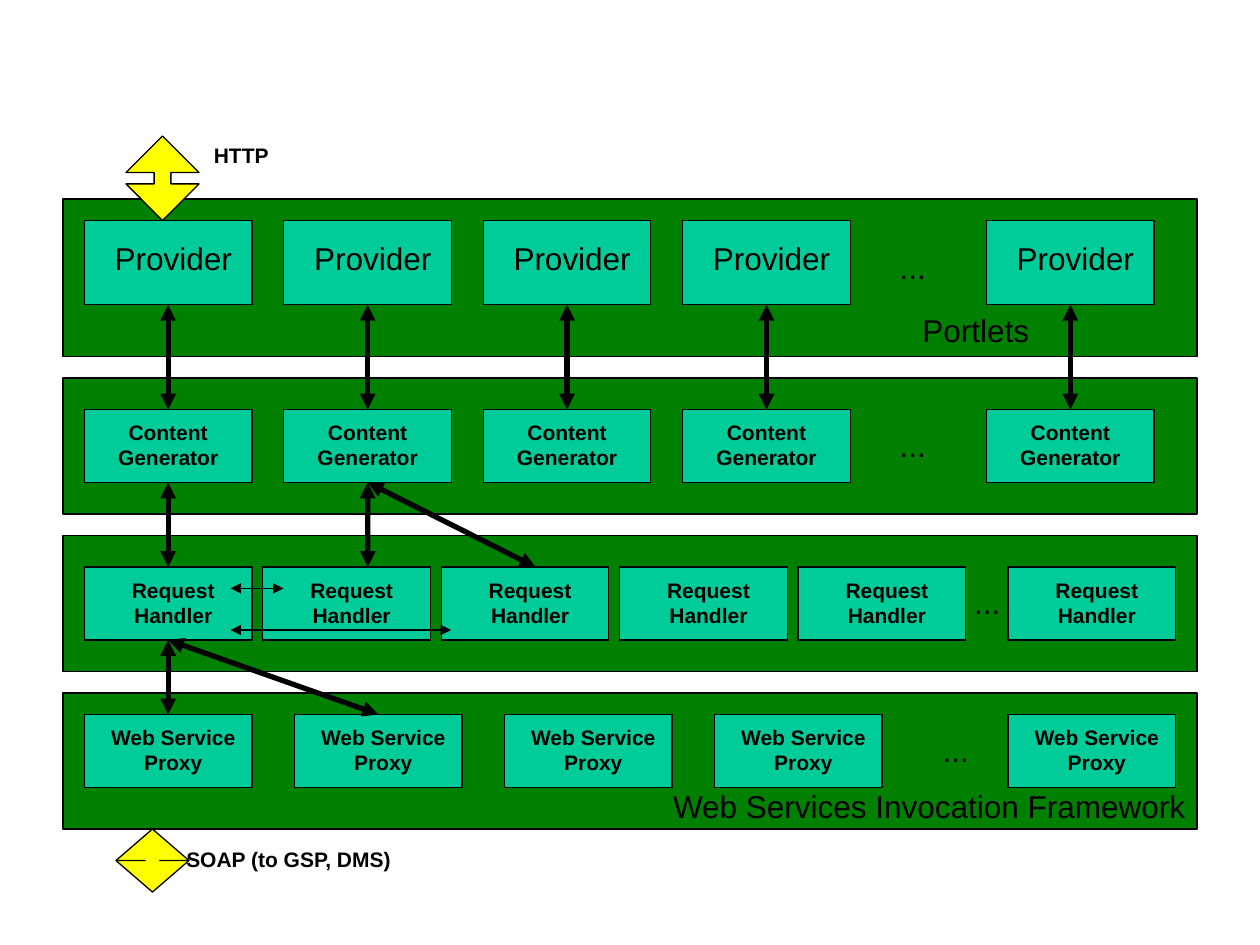
"""Draw the layered portlet and web service architecture slide."""
from dataclasses import dataclass

from lxml import etree
from pptx import Presentation
from pptx.dml.color import RGBColor
from pptx.enum.shapes import MSO_CONNECTOR, MSO_SHAPE
from pptx.enum.text import PP_ALIGN
from pptx.oxml.ns import qn
from pptx.shapes.autoshape import Shape
from pptx.shapes.connector import Connector
from pptx.slide import Slide
from pptx.util import Inches, Pt

RECT = MSO_SHAPE.RECTANGLE
ARROW = MSO_SHAPE.UP_DOWN_ARROW
LINE = MSO_CONNECTOR.STRAIGHT
CENTER = PP_ALIGN.CENTER
BLACK = RGBColor(0, 0, 0)
GREEN = RGBColor(0, 0x80, 0)
TEAL = RGBColor(0, 0xCC, 0x99)
YELLOW = RGBColor(0xFF, 0xFF, 0)
FONT = "Arial"
LEFT, WIDE = 0.67, 1.33
TOP, BOTTOM = 0, 2


@dataclass
class Box:
    left: float
    top: float
    width: float
    height: float


@dataclass
class Label:
    text: str
    box: Box
    size: int = 12
    bold: bool = True
    pad: bool = True


@dataclass
class Row:
    text: str
    band: Box
    top: float
    height: float
    count: int
    step: float
    last: float
    shift: float
    drop: float
    dots: Box
    size: int = 12
    bold: bool = True


ROWS = [
    Row("Provider", Box(0.5, 1.58, 9, 1.25), 1.75, 0.67, 4, 1.583, 7.83,
        0.08, 0.15, Box(6.83, 1.92, 0.83, 0.4), 18, False),
    Row("Content Generator", Box(0.5, 3, 9, 1.08), 3.25, 0.58, 4, 1.583, 7.83,
        0, 0.08, Box(6.83, 3.33, 0.83, 0.4)),
    Row("Request Handler", Box(0.5, 4.25, 9, 1.08), 4.5, 0.58, 5, 1.416, 8,
        0.08, 0.08, Box(7.42, 4.58, 0.83, 0.4)),
    Row("Web Service Proxy", Box(0.5, 5.5, 9, 1.08), 5.67, 0.58, 4, 1.667, 8,
        0.08, 0.08, Box(7.17, 5.75, 0.83, 0.4)),
]
LABELS = [
    Label("HTTP", Box(1.5, 1.08, 0.83, 0.3)),
    Label("Portlets", Box(7.08, 2.42, 1.33, 0.4), 18, False),
    Label("Web Services Invocation Framework", Box(5.25, 6.25, 4.25, 0.3),
          18, False, False),
    Label("SOAP (to GSP, DMS)", Box(1.33, 6.67, 1.92, 0.3)),
]


def place(box: Box) -> list[int]:
    return [Inches(n) for n in (box.left, box.top, box.width, box.height)]


def draw(slide: Slide, kind: MSO_SHAPE, box: Box, fill: RGBColor) -> Shape:
    shape = slide.shapes.add_shape(kind, *place(box))
    shape.shadow.inherit = False
    shape.fill.solid()
    shape.fill.fore_color.rgb = fill
    shape.line.color.rgb = BLACK
    shape.line.width = Pt(0.75)
    return shape


def write(slide: Slide, label: Label) -> None:
    frame = slide.shapes.add_textbox(*place(label.box)).text_frame
    frame.word_wrap = True
    if not label.pad:
        frame.margin_left = frame.margin_right = Inches(0)
        frame.margin_top = frame.margin_bottom = Inches(0)
    para = frame.paragraphs[0]
    para.alignment = CENTER
    run = para.add_run()
    run.text = label.text
    run.font.name = FONT
    run.font.size = Pt(label.size)
    run.font.bold = label.bold
    run.font.color.rgb = BLACK


def layer(slide: Slide, row: Row) -> list[Shape]:
    draw(slide, RECT, row.band, GREEN)
    cells = []
    for left in [LEFT + i * row.step for i in range(row.count)] + [row.last]:
        cells.append(draw(slide, RECT, Box(left, row.top, WIDE, row.height), TEAL))
        area = Box(left + row.shift, row.top + row.drop,
                   WIDE - row.shift, row.height - 2 * row.drop)
        write(slide, Label(row.text, area, row.size, row.bold, False))
    write(slide, Label("...", row.dots, 18, False))
    return cells


def link(slide: Slide, x1: float, y1: float, x2: float, y2: float,
         width: float = 3) -> Connector:
    line = slide.shapes.add_connector(
        LINE, Inches(x1), Inches(y1), Inches(x2), Inches(y2))
    line.line.color.rgb = BLACK
    line.line.width = Pt(width)
    edge = line.line._get_or_add_ln()
    for end in ("a:headEnd", "a:tailEnd"):
        etree.SubElement(edge, qn(end), type="triangle")
    etree.SubElement(line._element.spPr, qn("a:effectLst"))
    return line


def join(slide: Slide, upper: Shape, lower: Shape) -> None:
    line = link(slide, 0, 0, 1, 1)
    line.begin_connect(upper, BOTTOM)
    line.end_connect(lower, TOP)


def main() -> None:
    deck = Presentation()
    deck.slide_width, deck.slide_height = Inches(10), Inches(7.5)
    slide = deck.slides.add_slide(deck.slide_layouts[6])

    hosts, makers, calls, stubs = [layer(slide, row) for row in ROWS]
    for label in LABELS:
        write(slide, label)

    pairs = [*zip(hosts, makers), (makers[0], calls[0]),
             (calls[0], stubs[0]), (calls[0], stubs[1])]
    for upper, lower in pairs:
        join(slide, upper, lower)
    for end in (2.92, 4.25):
        link(slide, 2.92, 3.83, end, 4.5).begin_connect(makers[1], BOTTOM)
    for end, level in ((2.25, 4.67), (3.58, 5)):
        link(slide, 1.83, level, end, level, 0.75)

    for box, head in ((Box(1, 1.08, 0.58, 0.67), 0.23),
                      (Box(0.92, 6.58, 0.58, 0.5), 0.2)):
        draw(slide, ARROW, box, YELLOW).adjustments[1] = head
    deck.save("out.pptx")


if __name__ == "__main__":
    main()
